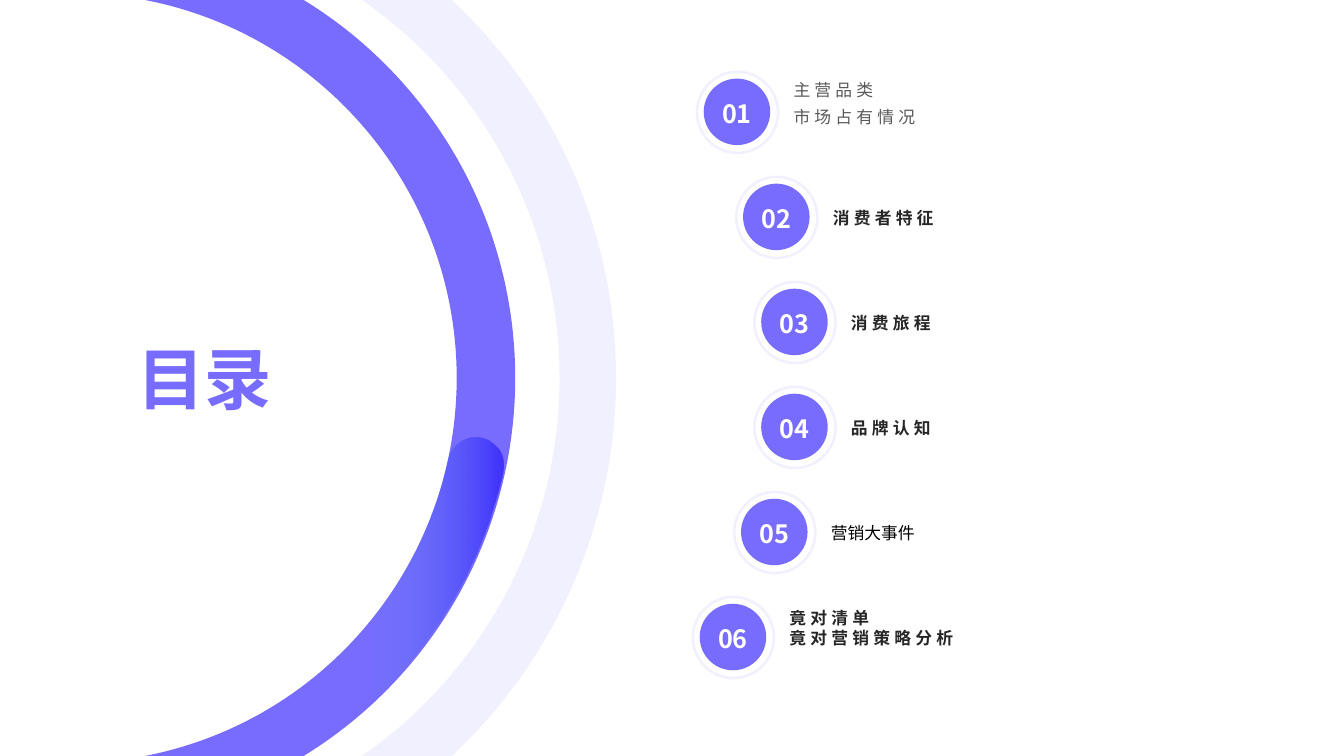
from math import asin, cos, pi, radians, sin, tan

from lxml.etree import SubElement
from pptx import Presentation
from pptx.dml.color import RGBColor
from pptx.enum.shapes import MSO_SHAPE
from pptx.enum.text import MSO_ANCHOR, PP_ALIGN
from pptx.oxml.ns import qn
from pptx.util import Inches, Pt

FONT = "Noto Sans CJK SC"
PURPLE = RGBColor(0x77, 0x6C, 0xFD)
SKY = RGBColor(0x5D, 0x95, 0xF1)
BLUE = RGBColor(0x25, 0x13, 0xFC)
WHITE = RGBColor(0xFF, 0xFF, 0xFF)
GREY = RGBColor(0x59, 0x59, 0x59)
DARK = RGBColor(0x26, 0x26, 0x26)
BLACK = RGBColor(0x00, 0x00, 0x00)

prs = Presentation()
prs.slide_width, prs.slide_height = Inches(13.33), Inches(7.5)
s = prs.slides.add_slide(prs.slide_layouts[6])
MIDDLE = 7.5 / 2


def arc(cx, cy, radius, start, end):
    """Four Bezier points of an arc; angles in radians run clockwise from the right."""
    k = 4 / 3 * tan((end - start) / 4)
    unit = [(cos(start), sin(start)),
            (cos(start) - k * sin(start), sin(start) + k * cos(start)),
            (cos(end) + k * sin(end), sin(end) - k * cos(end)),
            (cos(end), sin(end))]
    return [(cx + radius * x, cy + radius * y) for x, y in unit]


def write(sp, lines, size, color, bold=False, spacing=0, align=PP_ALIGN.LEFT,
          line_spacing=None, wrap=True):
    tf = sp.text_frame
    tf.margin_left = tf.margin_right = tf.margin_top = tf.margin_bottom = 0
    tf.vertical_anchor = MSO_ANCHOR.MIDDLE
    tf.word_wrap = wrap
    tf.text = "\n".join(lines)
    for p in tf.paragraphs:
        p.alignment = align
        if line_spacing:
            p.line_spacing = line_spacing
        font = p.font
        font.size, font.bold, font.name = Pt(size), bold, FONT
        font.color.rgb = color
        SubElement(font._element, qn("a:ea"), typeface=FONT)
        if spacing:
            font._element.set("spc", str(spacing * 100))


# Large bands, cut off by the top and bottom edges of the slide
BAND_X, BAND_INNER = 0.71, 3.82
outlines = []
for cx, outer, inner in ((0.98, 5.13, 4.57), (BAND_X, 4.4, BAND_INNER)):
    a, b = asin(MIDDLE / outer), asin(MIDDLE / inner)
    outlines.append(arc(cx, MIDDLE, outer, -a, 0) + arc(cx, MIDDLE, outer, 0, a)
                    + arc(cx, MIDDLE, inner, b, 0) + arc(cx, MIDDLE, inner, 0, -b))

# Highlight on the lower part of the band, with a round cap
GLOW_OUTER = 4.38
tilt = radians(12.2)
cap_distance = (GLOW_OUTER + BAND_INNER) / 2
cap_radius = (GLOW_OUTER - BAND_INNER) / 2
cap = BAND_X + cap_distance * cos(tilt), MIDDLE + cap_distance * sin(tilt), cap_radius
outlines.append(
    arc(BAND_X, MIDDLE, BAND_INNER, b, tilt)
    + arc(*cap, tilt + pi, 1.5 * pi) + arc(*cap, 1.5 * pi, tilt + 2 * pi)
    + arc(BAND_X, MIDDLE, GLOW_OUTER, tilt, asin(MIDDLE / GLOW_OUTER)))

bands = []
for points in outlines:
    emu = [(Inches(x), Inches(y)) for x, y in points]
    builder = s.shapes.build_freeform(*emu[0])
    builder.add_line_segments(emu[1:], close=True)
    sp = builder.convert_to_shape()
    sp.shadow.inherit = False
    sp.line.fill.background()
    sp.fill.solid()
    sp.fill.fore_color.rgb = PURPLE
    # Each arc's last three points become one curve
    segments = list(sp._element.spPr.iter(qn("a:lnTo")))
    for i in range(0, len(segments), 4):
        curve, *rest = segments[i:i + 3]
        curve.tag = qn("a:cubicBezTo")
        for segment in rest:
            curve.append(segment[0])
            segment.getparent().remove(segment)
    bands.append(sp)
pale, band, highlight = bands

highlight.fill.gradient()
highlight.fill.gradient_angle = 0
for stop, position, color in zip(highlight.fill.gradient_stops, (0.62, 1), (SKY, BLUE)):
    stop.position = position
    stop.color.rgb = color
for srgb, alpha in zip(highlight._element.spPr.iter(qn("a:srgbClr")), (0, 70)):
    SubElement(srgb, qn("a:alpha"), val=str(alpha * 1000))

title = s.shapes.add_textbox(Inches(1.36), Inches(3.03), Inches(2.91), Inches(1.44))
write(title, ["目录"], 48, PURPLE, bold=True)

# Contents: ring left, lines, colour, bold, letter spacing, line spacing, lift
TOP, STEP, RING, DISC, INSET = 0.7, 1.042, 0.83, 0.66, 0.08
entries = [
    (6.9, ["主营品类", "市场占有情况"], GREY, False, 3, 1.3, 0.09),
    (7.29, ["消费者特征"], DARK, True, 3, None, 0),
    (7.47, ["消费旅程"], DARK, True, 3, None, 0),
    (7.47, ["品牌认知"], DARK, True, 3, None, 0),
    (7.27, ["营销大事件"], BLACK, False, 0, None, 0),
    (6.86, ["竟对清单", "竟对营销策略分析"], DARK, True, 3, None, 0.1),
]
pale_shapes = [pale]
for i, (left, lines, color, bold, spacing, line_spacing, lift) in enumerate(entries):
    top = TOP + i * STEP
    ring = s.shapes.add_shape(MSO_SHAPE.DONUT, Inches(left), Inches(top),
                              Inches(RING), Inches(RING))
    ring.adjustments[0] = 0.03
    disc = s.shapes.add_shape(MSO_SHAPE.OVAL, Inches(left + INSET), Inches(top + INSET),
                              Inches(DISC), Inches(DISC))
    for sp in (ring, disc):
        sp.shadow.inherit = False
        sp.line.fill.background()
        sp.fill.solid()
        sp.fill.fore_color.rgb = PURPLE
    pale_shapes.append(ring)
    write(disc, [f"{i + 1:02}"], 18, WHITE, bold=True, align=PP_ALIGN.CENTER,
          line_spacing=1.1, wrap=False)
    label = s.shapes.add_textbox(Inches(left + 0.97), Inches(top + 0.14 - lift),
                                 Inches(4.02), Inches(0.55))
    write(label, lines, 12, color, bold, spacing, line_spacing=line_spacing)
    if line_spacing:
        label.text_frame.paragraphs[0].line_spacing = 1.0

for sp in pale_shapes:
    srgb = next(sp._element.spPr.iter(qn("a:srgbClr")))
    SubElement(srgb, qn("a:alpha"), val="10000")

prs.save("out.pptx")
